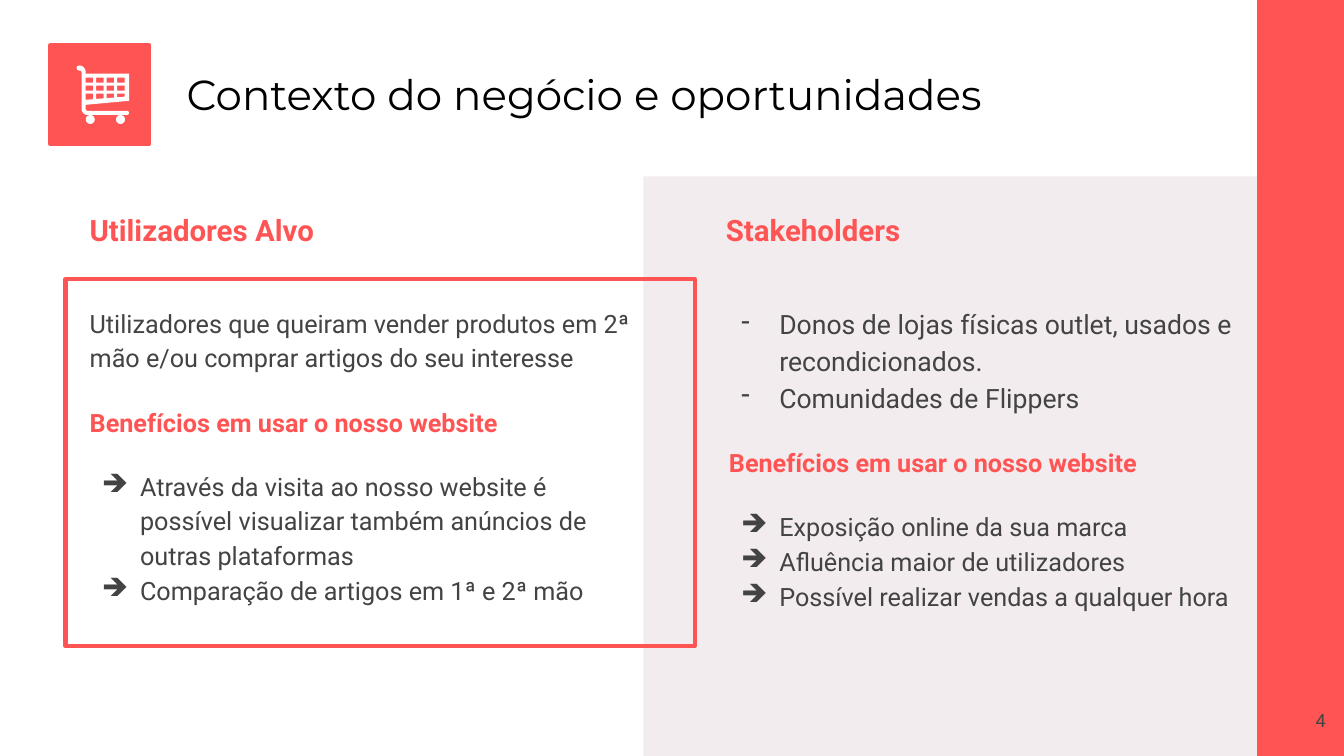
from dataclasses import dataclass

from lxml import etree
from pptx import Presentation
from pptx import util as u
from pptx.dml.color import RGBColor
from pptx.enum import shapes, text
from pptx.oxml import ns


@dataclass(frozen=True)
class Theme:
    coral: str = "FF5454"
    panel: str = "F3ECEF"
    white: str = "FFFFFF"
    black: str = "000000"
    grey: str = "434343"
    title_font: str = "Montserrat"
    body_font: str = "Roboto"
    title: int = 30
    heading: int = 21
    large: int = 19
    body: int = 18
    number: int = 13
    gap: int = 21
    spacing: float = 1.15
    border: int = 3


THEME = Theme()
BENEFITS = "Benefícios em usar o nosso website"
SUBHEAD = {"color": THEME.coral, "bold": True, "before": THEME.gap}
ARROW = {"bullet": "➔"}
FIRST_ARROW = {"bullet": "➔", "before": THEME.gap}
DASH = {"bullet": "-", "size": THEME.large}

USERS = [
    ("Utilizadores que queiram vender produtos em 2ª mão e/ou comprar artigos do seu interesse", {}),
    (BENEFITS, SUBHEAD),
    ("Através da visita ao nosso website é possível visualizar também anúncios de outras plataformas",
     FIRST_ARROW),
    ("Comparação de artigos em 1ª e 2ª mão", ARROW),
]
STAKEHOLDERS = [
    ("Donos de lojas físicas outlet, usados e recondicionados.", DASH),
    ("Comunidades de Flippers", DASH),
    (BENEFITS, SUBHEAD),
    ("Exposição online da sua marca", FIRST_ARROW),
    ("Afluência maior de utilizadores", ARROW),
    ("Possível realizar vendas a qualquer hora", ARROW),
]

# Cart outline inside its tile: pairs are lines, sixes are Bézier curves
CART = [
    (0.29, 0.2), (0.27, 0.2, 0.26, 0.21, 0.26, 0.22), (0.26, 0.24, 0.27, 0.25, 0.29, 0.25),
    (0.3, 0.25, 0.31, 0.26, 0.31, 0.27), (0.31, 0.63), (0.31, 0.66, 0.33, 0.69, 0.37, 0.69),
    (0.76, 0.69), (0.77, 0.69, 0.78, 0.68, 0.78, 0.67), (0.78, 0.66, 0.77, 0.65, 0.76, 0.65),
    (0.37, 0.65), (0.36, 0.65, 0.35, 0.64, 0.35, 0.63), (0.35, 0.59), (0.78, 0.55),
    (0.78, 0.28), (0.35, 0.28), (0.35, 0.27), (0.35, 0.23, 0.32, 0.2, 0.29, 0.2),
]


def style_shape(shape, fill=None, line=None):
    shape.shadow.inherit = False
    if fill:
        shape.fill.solid()
        shape.fill.fore_color.rgb = RGBColor.from_string(fill)
    else:
        shape.fill.background()
    if line:
        shape.line.color.rgb = RGBColor.from_string(line)
        shape.line.width = u.Pt(THEME.border)
        etree.SubElement(shape.line._get_or_add_ln(), ns.qn("a:round"))
    else:
        shape.line.fill.background()


def add_block(slide, box, fill=None, line=None, kind=shapes.MSO_SHAPE.RECTANGLE):
    shape = slide.shapes.add_shape(kind, *map(u.Inches, box))
    style_shape(shape, fill, line)


def add_bullet(paragraph, character):
    properties = paragraph._p.get_or_add_pPr()
    properties.set("marL", str(u.Inches(0.5)))
    properties.set("indent", str(u.Inches(-0.38)))
    color = etree.SubElement(properties, ns.qn("a:buClr"))
    etree.SubElement(color, ns.qn("a:srgbClr"), val=THEME.grey)
    etree.SubElement(properties, ns.qn("a:buChar"), char=character)


def add_text(slide, box, paragraphs, anchor=text.MSO_ANCHOR.TOP):
    frame = slide.shapes.add_textbox(*map(u.Inches, box)).text_frame
    frame.word_wrap = True
    frame.vertical_anchor = anchor
    for side in ("left", "right", "top", "bottom"):
        setattr(frame, f"margin_{side}", u.Inches(0.13))
    for index, (words, look) in enumerate(paragraphs):
        paragraph = frame.paragraphs[0] if index == 0 else frame.add_paragraph()
        layout = {
            "alignment": look.get("align", text.PP_ALIGN.LEFT),
            "line_spacing": look.get("spacing", THEME.spacing),
            "space_before": u.Pt(look.get("before", 0)),
            "space_after": u.Pt(look.get("after", 0)),
        }
        for name, value in layout.items():
            setattr(paragraph, name, value)
        if "bullet" in look:
            add_bullet(paragraph, look["bullet"])
        run = paragraph.add_run()
        run.text = words
        lettering = {
            "name": look.get("font", THEME.body_font),
            "size": u.Pt(look.get("size", THEME.body)),
            "bold": look.get("bold", False),
        }
        for name, value in lettering.items():
            setattr(run.font, name, value)
        run.font.color.rgb = RGBColor.from_string(look.get("color", THEME.grey))


def flatten(outline, steps=8):
    """Turn lines and Bézier curves into a list of points."""
    points = []
    for segment in outline:
        if len(segment) == 2:
            points.append(segment)
            continue
        start, controls = points[-1], segment
        for step in range(1, steps + 1):
            t = step / steps
            weights = ((1 - t) ** 3, 3 * t * (1 - t) ** 2, 3 * t * t * (1 - t), t ** 3)
            points.append(tuple(
                sum(w * p for w, p in zip(weights, (start[axis], *controls[axis::2])))
                for axis in (0, 1)))
    return points


def basket_holes():
    """Three rows of four holes; the last row follows the sloping basket."""
    for row in range(3):
        for column in range(4):
            left, top = 0.35 + 0.104 * column, 0.32 + 0.08 * row
            right = left + 0.075
            bottoms = [0.54 - 0.08 * (x - 0.35) if row == 2 else top + 0.05 for x in (left, right)]
            yield [(left, top), (right, top), (right, bottoms[1]), (left, bottoms[0])]


def add_cart_tile(slide, box):
    left, top, _, _ = box
    add_block(slide, box, THEME.coral, THEME.coral)
    builder = None
    for contour in [flatten(CART), *basket_holes()]:
        points = [(u.Inches(left + x), u.Inches(top + y)) for x, y in contour]
        if builder is None:
            builder = slide.shapes.build_freeform(*points[0])
        else:
            builder.move_to(*points[0])
        builder.add_line_segments(points[1:], close=True)
    style_shape(builder.convert_to_shape(), THEME.white)
    for wheel in (0.35, 0.65):
        add_block(slide, (left + wheel, top + 0.69, 0.09, 0.09), THEME.white,
                  kind=shapes.MSO_SHAPE.OVAL)


def add_header(slide, box):
    left, top, width, _ = box
    add_cart_tile(slide, (left, top, 0.98, 0.98))
    look = {"font": THEME.title_font, "size": THEME.title, "color": THEME.black, "spacing": 1.0}
    add_text(slide, (left + 1.22, top + 0.07, width - 1.22, 0.83),
             [("Contexto do negócio e oportunidades", look)], text.MSO_ANCHOR.MIDDLE)


def add_column(slide, box, heading, paragraphs, body_shift=0.0):
    left, top, width, height = box
    look = {"size": THEME.heading, "color": THEME.coral, "bold": True, "after": THEME.gap}
    add_text(slide, (left, top, width, 0.79), [(heading, look)])
    add_text(slide, (left + body_shift, top + 0.96, width - body_shift, height - 0.96), paragraphs)


def add_side_band(slide, box, number):
    left, top, width, height = box
    add_block(slide, box, THEME.coral, THEME.coral)
    look = {"size": THEME.number, "align": text.PP_ALIGN.RIGHT, "spacing": 1.0}
    add_text(slide, (left, top + height - 0.57, width - 0.05, 0.57), [(number, look)])


def main():
    presentation = Presentation()
    presentation.slide_width, presentation.slide_height = u.Inches(13.33), u.Inches(7.5)
    slide = presentation.slides.add_slide(presentation.slide_layouts[6])
    # Background panel, side band and frame
    add_block(slide, (6.38, 1.75, 6.95, 5.75), THEME.panel)
    add_side_band(slide, (12.49, 0, 0.84, 7.5), "4")
    add_block(slide, (0.65, 2.77, 6.24, 3.64), line=THEME.coral)
    # Header and the two columns
    add_header(slide, (0.5, 0.45, 11.93, 0.98))
    add_column(slide, (0.76, 1.92, 5.73, 4.6), "Utilizadores Alvo", USERS)
    add_column(slide, (7.07, 1.92, 5.4, 4.37), "Stakeholders", STAKEHOLDERS, body_shift=0.03)
    presentation.save("out.pptx")


if __name__ == "__main__":
    main()
